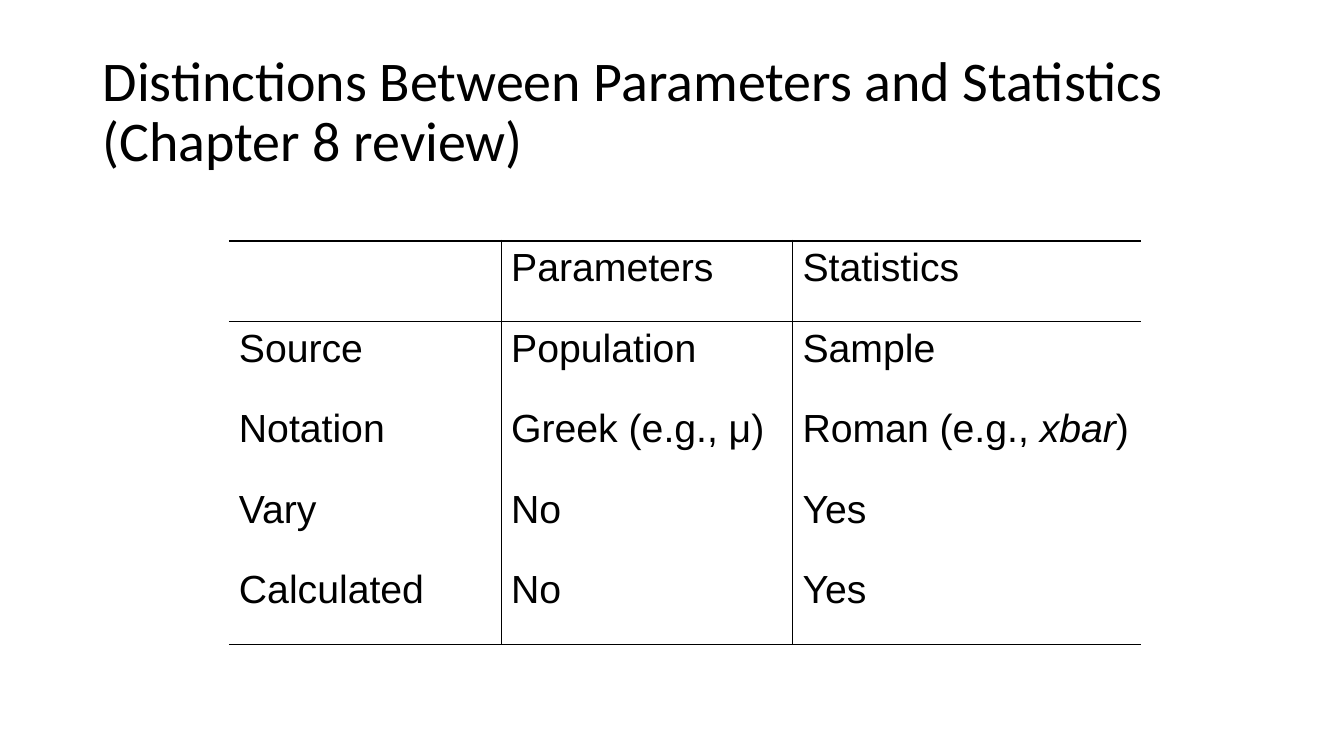
"""Build a slide that compares parameters with statistics in a ruled table."""
from lxml import etree
from pptx import Presentation
from pptx.dml.color import RGBColor
from pptx.enum.text import MSO_ANCHOR
from pptx.oxml.ns import qn
from pptx.util import Inches, Pt

MIDDLE = MSO_ANCHOR.MIDDLE
BLACK = "000000"
THIN, THICK = 1, 2.25
TITLE = "Distinctions Between Parameters and Statistics (Chapter 8 review)"
TITLE_FORMAT = {"name": "Calibri", "size": Pt(40)}
CELL_FORMAT = {"name": "Arial", "size": Pt(28)}
COL_WIDTHS = [2.7, 2.89, 3.46]
ROW_HEIGHT = 0.8
ROWS = [
    [[], ["Parameters"], ["Statistics"]],
    [["Source"], ["Population"], ["Sample"]],
    [["Notation"], ["Greek (e.g., μ)"], ["Roman (e.g., ", "xbar", ")"]],
    [["Vary"], ["No"], ["Yes"]],
    [["Calculated"], ["No"], ["Yes"]],
]
ITALIC = {"xbar"}


def rgb(value):
    """Turn a hex string into a colour."""
    return RGBColor.from_string(value)


def add_run(p, text, fmt):
    """Add a run and set its font from a dict."""
    r = p.add_run()
    r.text = text
    for name, value in fmt.items():
        setattr(r.font, name, value)
    r.font.color.rgb = rgb(BLACK)


def add_title(s, text):
    """Add the title text box."""
    sp = s.shapes.add_textbox(Inches(0.92), Inches(0.4), Inches(11.5), Inches(1.45))
    tf = sp.text_frame
    tf.word_wrap = True
    tf.vertical_anchor = MIDDLE
    p = tf.paragraphs[0]
    p.line_spacing = 0.9
    add_run(p, text, TITLE_FORMAT)


def set_border(cell, side, width):
    """Draw one border of a cell, or none when the width is zero."""
    tc_pr = cell._tc.get_or_add_tcPr()
    ln = etree.SubElement(tc_pr, qn(f"a:ln{side}"), w=str(Pt(width)))
    if width:
        fill = etree.SubElement(ln, qn("a:solidFill"))
        etree.SubElement(fill, qn("a:srgbClr"), val=BLACK)
    else:
        etree.SubElement(ln, qn("a:noFill"))


def add_table(s, rows):
    """Add the table with a ruled header, column rules and a closing rule."""
    last_row, last_col = len(rows) - 1, len(COL_WIDTHS) - 1
    table = s.shapes.add_table(
        len(rows), len(COL_WIDTHS), Inches(2.27), Inches(2.39),
        Inches(sum(COL_WIDTHS)), Inches(ROW_HEIGHT * len(rows))).table
    table.first_row = table.horz_banding = False
    for column, width in zip(table.columns, COL_WIDTHS):
        column.width = Inches(width)
    rules = [THICK, THIN] + [0] * (last_row - 1) + [THIN]
    for i, row in enumerate(rows):
        table.rows[i].height = Inches(ROW_HEIGHT)
        for j, texts in enumerate(row):
            cell = table.cell(i, j)
            borders = {"L": THIN if j > 0 else 0,
                       "R": THIN if j < last_col else 0,
                       "T": rules[i], "B": rules[i + 1]}
            for side, width in borders.items():
                set_border(cell, side, width)
            cell.fill.background()
            for text in texts:
                add_run(cell.text_frame.paragraphs[0], text,
                        {**CELL_FORMAT, "italic": text in ITALIC})


def main():
    """Build and save the slide."""
    prs = Presentation()
    prs.slide_width, prs.slide_height = Inches(13.33), Inches(7.5)
    s = prs.slides.add_slide(prs.slide_layouts[6])
    add_title(s, TITLE)
    add_table(s, ROWS)
    prs.save("out.pptx")


if __name__ == "__main__":
    main()
